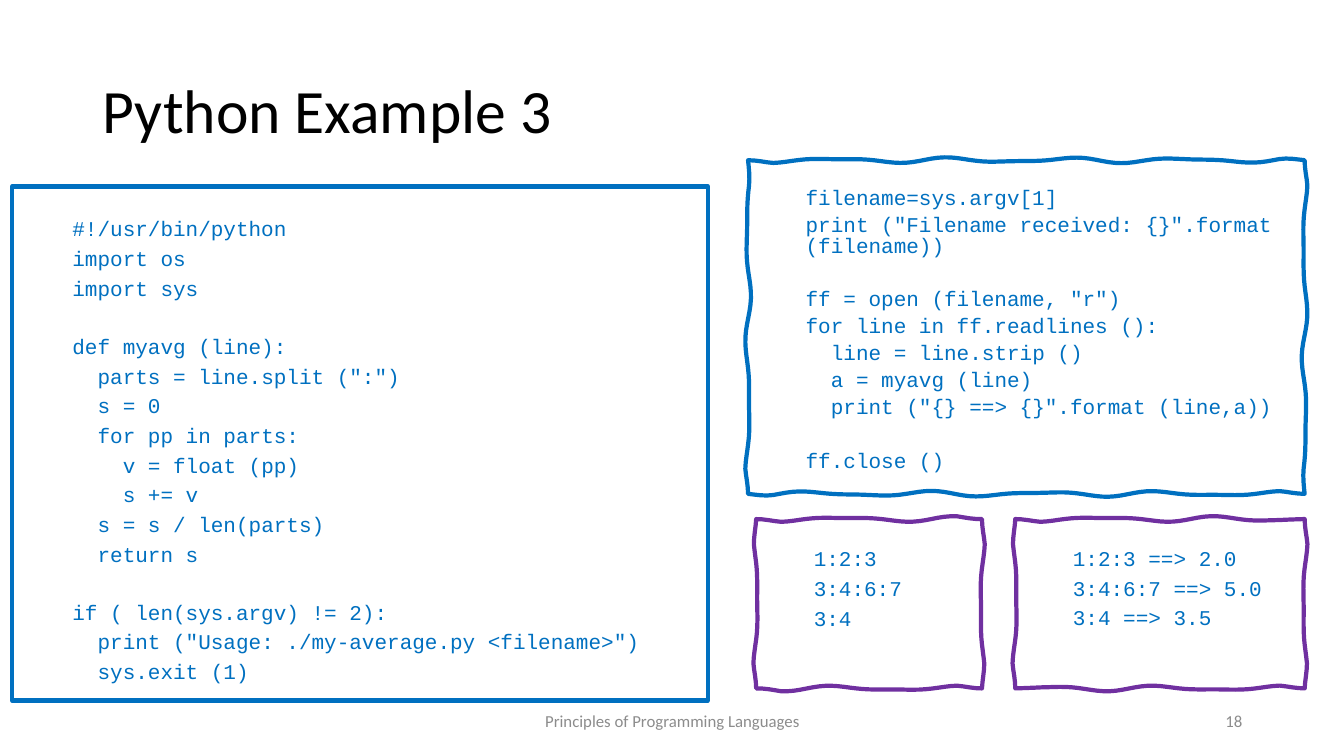
from math import pi, sin

from pptx import Presentation
from pptx.dml.color import RGBColor
from pptx.enum.shapes import MSO_SHAPE
from pptx.enum.text import MSO_ANCHOR, PP_ALIGN
from pptx.util import Inches, Pt

BLUE = RGBColor(0x00, 0x70, 0xC0)
PURPLE = RGBColor(0x70, 0x30, 0xA0)
GREY = RGBColor(0x8C, 0x8C, 0x8C)
BLACK = RGBColor(0, 0, 0)
LEFT, CENTER, RIGHT = PP_ALIGN.LEFT, PP_ALIGN.CENTER, PP_ALIGN.RIGHT
TOP, MIDDLE = MSO_ANCHOR.TOP, MSO_ANCHOR.MIDDLE
RECT = MSO_SHAPE.RECTANGLE
SANS, MONO = "Calibri", "Courier New"

MAIN = """#!/usr/bin/python
import os
import sys

def myavg (line):
  parts = line.split (":")
  s = 0
  for pp in parts:
    v = float (pp)
    s += v
  s = s / len(parts)
  return s

if ( len(sys.argv) != 2):
  print ("Usage: ./my-average.py <filename>")
  sys.exit (1)"""

LOOP = """filename=sys.argv[1]
print ("Filename received: {}".format (filename))

ff = open (filename, "r")
for line in ff.readlines ():
  line = line.strip ()
  a = myavg (line)
  print ("{} ==> {}".format (line,a))

ff.close ()"""

DATA = "1:2:3\n3:4:6:7\n3:4"
RESULT = "1:2:3 ==> 2.0\n3:4:6:7 ==> 5.0\n3:4 ==> 3.5"


def write(par, text, font=SANS, size=12, color=GREY, align=LEFT, line=None):
    par.alignment = align
    par.line_spacing = line
    run = par.add_run()
    run.text = text
    run.font.name = font
    run.font.size = Pt(size)
    run.font.color.rgb = color


def add_label(slide, box, text, **style):
    shape = slide.shapes.add_textbox(*map(Inches, box))
    frame = shape.text_frame
    frame.word_wrap = True
    frame.vertical_anchor = MIDDLE
    write(frame.paragraphs[0], text, **style)


def add_rect(slide, box):
    return slide.shapes.add_shape(RECT, *map(Inches, box))


def add_sketch(slide, box):
    """Outline a box with sides that sway like a hand-drawn line."""
    x, y, w, h = box
    sides = [(x, y, 1, 0, w), (x + w, y, 0, 1, h),
             (x + w, y + h, -1, 0, w), (x, y + h, 0, -1, h)]
    points = []
    for x0, y0, dx, dy, size in sides:
        steps = round(size * 16)
        for i in range(steps):
            s = size * i / steps
            sway = 0.02 * sin(2 * pi * s / 1.15) + 0.01 * sin(2 * pi * s / 0.7)
            sway *= min(1, 4 * s, 4 * (size - s))
            points.append((Inches(x0 + dx * s + dy * sway),
                           Inches(y0 + dy * s + dx * sway)))
    pen = slide.shapes.build_freeform(*points[0])
    pen.add_line_segments(points[1:], close=True)
    return pen.convert_to_shape()


def add_code(shape, code, edge, inset=0.32, line=0.9, gap=5):
    shape.shadow.inherit = False
    shape.fill.background()
    shape.line.color.rgb = edge
    shape.line.width = Pt(3)
    frame = shape.text_frame
    frame.word_wrap = True
    frame.vertical_anchor = TOP
    frame.margin_top = Inches(inset)
    # Each blank line becomes extra space above the next block
    for b, block in enumerate(code.split("\n\n")):
        for i, row in enumerate(block.split("\n")):
            first = b == i == 0
            par = frame.paragraphs[0] if first else frame.add_paragraph()
            text = row.lstrip()
            # One character is 0.6 em, 0.125 inches at 15 points
            props = par._p.get_or_add_pPr()
            props.set("marL", str(Inches(0.5 + 0.125 * (len(row) - len(text)))))
            props.set("indent", "0")
            skip = gap + 17 * line if b and i == 0 else 0
            par.space_before = Pt(gap + skip)
            write(par, text, font=MONO, size=15, color=BLUE, line=line)


def main():
    deck = Presentation()
    deck.slide_width, deck.slide_height = Inches(13.33), Inches(7.5)
    slide = deck.slides.add_slide(deck.slide_layouts[5])

    # Title
    title = slide.shapes.title
    title.left, title.top = Inches(0.92), Inches(0.4)
    title.width, title.height = Inches(11.5), Inches(1.45)
    title.text_frame.vertical_anchor = MIDDLE
    write(title.text_frame.paragraphs[0], "Python Example 3",
          size=44, color=BLACK, line=0.9)

    # Footer
    add_label(slide, (4.42, 6.95, 4.5, 0.4),
              "Principles of Programming Languages", align=CENTER)
    add_label(slide, (9.42, 6.95, 3, 0.4), "18", align=RIGHT)

    # Program in two parts
    add_code(add_rect(slide, (0.12, 1.85, 6.9, 5.1)), MAIN, BLUE)
    add_code(add_sketch(slide, (7.42, 1.59, 5.52, 3.31)), LOOP, BLUE,
             line=0.8)

    # Input and output
    add_code(add_sketch(slide, (7.5, 5.15, 2.24, 1.68)), DATA, PURPLE)
    add_code(add_sketch(slide, (10.07, 5.15, 2.87, 1.68)), RESULT, PURPLE)

    deck.save("out.pptx")


main()
